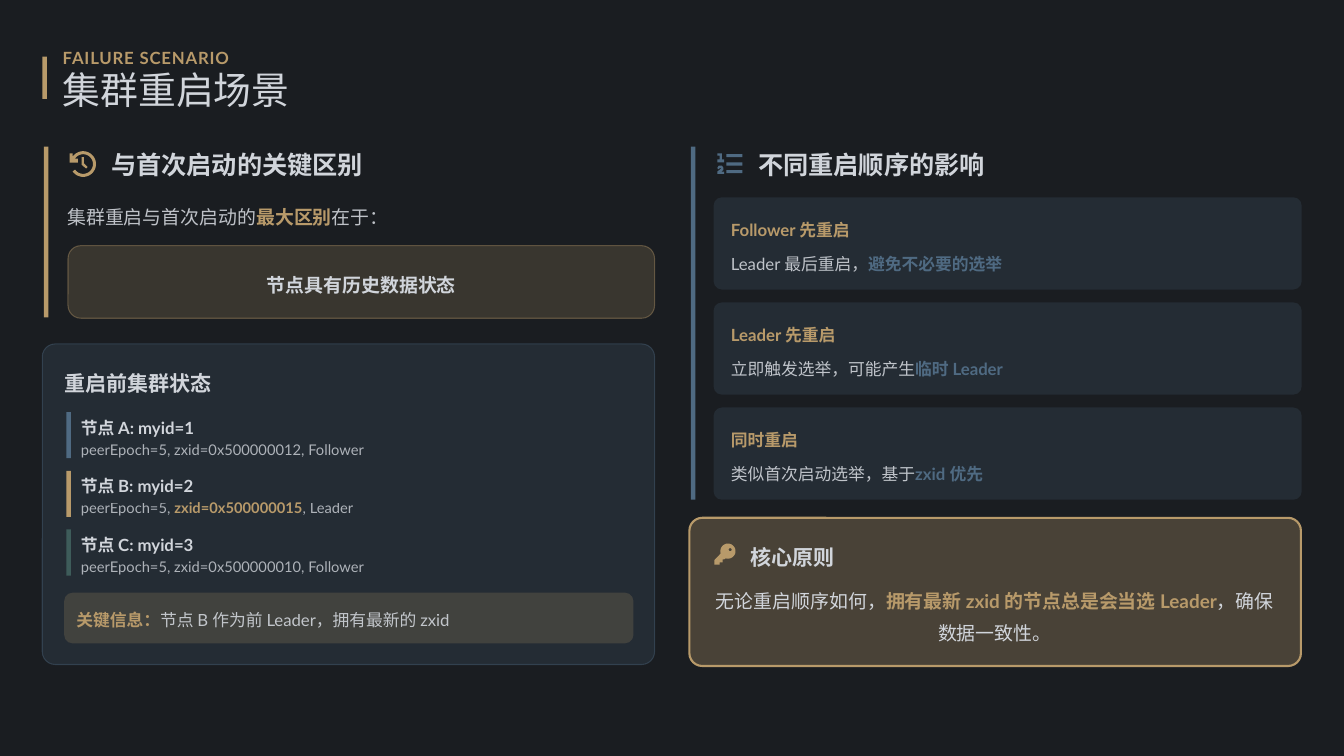
from dataclasses import dataclass
from math import cos, radians, sin

from lxml.etree import SubElement
from pptx import Presentation
from pptx.dml.color import RGBColor
from pptx.enum.shapes import MSO_SHAPE as Preset
from pptx.enum.text import MSO_ANCHOR as Anchor, PP_ALIGN as Align
from pptx.oxml.ns import qn
from pptx.util import Inches, Pt

COLORS = {
    "night": "1A1D21",
    "gold": "B89A6A",
    "light": "D1D5DB",
    "blue": "4F6A82",
    "green": "3E5C5A",
}
LATIN, CJK = "Lato", "Noto Sans CJK SC"
Point = tuple[float, float]


@dataclass(frozen=True)
class Span:
    text: str
    color: str = "light"
    bold: bool = False
    alpha: int = 100


@dataclass(frozen=True)
class Panel:
    left: float
    top: float
    width: float
    height: float
    color: str
    alpha: int
    radius: float = 0.17
    line: float = 0
    line_alpha: int = 100


@dataclass(frozen=True)
class Node:
    name: str
    color: str
    details: list[Span]


@dataclass(frozen=True)
class Card:
    title: str
    spans: list[Span]


def rgb(color: str) -> RGBColor:
    """Return the named palette colour."""
    return RGBColor.from_string(COLORS[color])


def fade(holder, alpha: int) -> None:
    """Make the solid fill inside an element partly transparent."""
    if alpha < 100:
        hue = holder.find(qn("a:solidFill")).find(qn("a:srgbClr"))
        SubElement(hue, qn("a:alpha")).set("val", str(alpha * 1000))


def paint(shape, color: str, alpha: int = 100) -> None:
    """Give a shape a flat fill without line or shadow."""
    shape.shadow.inherit = False
    shape.fill.solid()
    shape.fill.fore_color.rgb = rgb(color)
    shape.line.fill.background()
    fade(shape._element.spPr, alpha)


def add_bar(page, left: float, top: float, height: float, color: str) -> None:
    """Draw a thin vertical accent bar."""
    bar = page.shapes.add_shape(
        Preset.RECTANGLE, Inches(left), Inches(top), Inches(0.06), Inches(height))
    paint(bar, color)


def add_panel(page, panel: Panel) -> None:
    """Draw a rounded translucent panel."""
    shape = page.shapes.add_shape(
        Preset.ROUNDED_RECTANGLE, Inches(panel.left), Inches(panel.top),
        Inches(panel.width), Inches(panel.height))
    shape.adjustments[0] = panel.radius / panel.height
    paint(shape, panel.color, panel.alpha)
    if panel.line:
        shape.line.color.rgb = rgb(panel.color)
        shape.line.width = Pt(panel.line)
        fade(shape._element.spPr.find(qn("a:ln")), panel.line_alpha)


def add_text(page, left: float, top: float, width: float, height: float,
             size: int, spacing: float, spans: list[Span], font: str = LATIN,
             align: Align = Align.LEFT, tracking: int = 0) -> None:
    """Write one paragraph in a box without insets."""
    box = page.shapes.add_textbox(
        Inches(left), Inches(top), Inches(width), Inches(height))
    frame = box.text_frame
    frame.word_wrap = True
    frame.vertical_anchor = Anchor.MIDDLE
    frame.margin_left = frame.margin_right = 0
    frame.margin_top = frame.margin_bottom = 0
    para = frame.paragraphs[0]
    para.alignment = align
    para.line_spacing = spacing
    for span in spans:
        run = para.add_run()
        run.text = span.text
        run.font.size = Pt(size)
        run.font.bold = span.bold
        run.font.name = font
        run.font.color.rgb = rgb(span.color)
        props = run._r.rPr
        SubElement(props, qn("a:ea")).set("typeface", CJK)
        fade(props, span.alpha)
        if tracking:
            props.set("spc", str(tracking))


def arc(center: Point, radius: float, start: int, end: int) -> list[Point]:
    """Return points along an arc, with angles in degrees."""
    steps = 36
    angles = [radians(start + (end - start) * i / steps) for i in range(steps + 1)]
    return [(center[0] + radius * cos(a), center[1] + radius * sin(a)) for a in angles]


def add_icon(page, contours: list[list[Point]], color: str) -> None:
    """Draw an icon from closed contours."""
    outlines = [[(Inches(x), Inches(y)) for x, y in line] for line in contours]
    builder = page.shapes.build_freeform(*outlines[0][0])
    builder.add_line_segments(outlines[0][1:], close=True)
    for outline in outlines[1:]:
        builder.move_to(*outline[0])
        builder.add_line_segments(outline[1:], close=True)
    paint(builder.convert_to_shape(), color)


def history_icon() -> list[list[Point]]:
    """Return a clock with a backward arrow."""
    center = (1.1, 2.17)
    arrow = [(0.96, 2.03), (0.92, 2.03), (0.92, 2.15), (1.03, 2.15), (1.03, 2.1), (0.99, 2.1)]
    hand = [(1.08, 2.08), (1.11, 2.08), (1.11, 2.16), (1.16, 2.21), (1.14, 2.23), (1.08, 2.18)]
    return [arc(center, 0.17, 145, -145) + arrow + arc(center, 0.13, -145, 145), hand]


def list_icon() -> list[list[Point]]:
    """Return a numbered list."""
    one = [(9.49, 2.03), (9.55, 2.03), (9.55, 2.11), (9.58, 2.11), (9.58, 2.15),
           (9.49, 2.15), (9.49, 2.11), (9.52, 2.11), (9.52, 2.06), (9.49, 2.06)]
    two = [(9.49, 2.22), (9.51, 2.19), (9.55, 2.19), (9.57, 2.22), (9.57, 2.25), (9.54, 2.27),
           (9.58, 2.27), (9.58, 2.3), (9.49, 2.3), (9.49, 2.27), (9.54, 2.23), (9.53, 2.22),
           (9.5, 2.24)]
    rows = [[(9.61, y), (9.82, y), (9.82, y + 0.04), (9.61, y + 0.04)]
            for y in (2.04, 2.15, 2.25)]
    return [one, two, *rows]


def key_icon() -> list[list[Point]]:
    """Return a key with a hole in its head."""
    stem = [(9.45, 7.41), (9.45, 7.47), (9.52, 7.47), (9.52, 7.44),
            (9.56, 7.44), (9.56, 7.4), (9.58, 7.4)]
    return [arc((9.63, 7.29), 0.1, 108, -198) + stem, arc((9.66, 7.27), 0.02, 0, 350)]


NODES = [
    Node("节点 A: myid=1", "blue",
         [Span("peerEpoch=5, zxid=0x500000012, Follower", alpha=80)]),
    Node("节点 B: myid=2", "gold",
         [Span("peerEpoch=5, ", alpha=80), Span("zxid=0x500000015", "gold", True),
          Span(", Leader", alpha=80)]),
    Node("节点 C: myid=3", "green",
         [Span("peerEpoch=5, zxid=0x500000010, Follower", alpha=80)]),
]
CARDS = [
    Card("Follower 先重启",
         [Span("Leader 最后重启，", alpha=90), Span("避免不必要的选举", "blue", True)]),
    Card("Leader 先重启",
         [Span("立即触发选举，可能产生", alpha=90), Span("临时 Leader", "blue", True)]),
    Card("同时重启",
         [Span("类似首次启动选举，基于", alpha=90), Span("zxid 优先", "blue", True)]),
]


def draw_left(page) -> None:
    """Draw the key difference and the cluster state."""
    add_bar(page, 0.58, 1.94, 2.26, "gold")
    add_icon(page, history_icon(), "gold")
    add_text(page, 1.47, 1.94, 3.5, 0.44, 24, 1.1, [Span("与首次启动的关键区别", bold=True)])
    add_text(page, 0.89, 2.61, 7.9, 0.4, 18, 1.4,
             [Span("集群重启与首次启动的", alpha=90), Span("最大区别", "gold", True),
              Span("在于：", alpha=90)])
    add_panel(page, Panel(0.9, 3.25, 7.76, 0.96, "gold", 20, line=1, line_alpha=40))
    add_text(page, 1.12, 3.53, 7.32, 0.39, 18, 1.3,
             [Span("节点具有历史数据状态", bold=True)], align=Align.CENTER)
    add_panel(page, Panel(0.56, 4.55, 8.1, 4.24, "blue", 20, line=1, line_alpha=40))
    add_text(page, 0.85, 4.84, 7.67, 0.39, 20, 1.2, [Span("重启前集群状态", bold=True)])
    for i, node in enumerate(NODES):
        top = 5.45 + 0.777 * i
        add_bar(page, 0.88, top, 0.61, node.color)
        add_text(page, 1.07, top, 7.42, 0.33, 16, 1.3, [Span(node.name, bold=True)])
        add_text(page, 1.07, top + 0.33, 7.4, 0.28, 14, 1.2, node.details)
    add_panel(page, Panel(0.85, 7.84, 7.53, 0.67, "gold", 20, 0.11))
    add_text(page, 1.01, 8, 7.31, 0.33, 16, 1.3,
             [Span("关键信息：", "gold", True),
              Span("节点 B 作为前 Leader，拥有最新的 zxid", alpha=90)])


def draw_right(page) -> None:
    """Draw the restart orders and the core principle."""
    add_bar(page, 9.14, 1.94, 4.67, "blue")
    add_icon(page, list_icon(), "blue")
    add_text(page, 10.03, 1.94, 3.17, 0.44, 24, 1.1, [Span("不同重启顺序的影响", bold=True)])
    for i, card in enumerate(CARDS):
        top = 2.61 + 1.39 * i
        add_panel(page, Panel(9.44, top, 7.78, 1.22, "blue", 20, 0.11))
        add_text(page, 9.67, top + 0.22, 7.44, 0.33, 16, 1.3, [Span(card.title, "gold", True)])
        add_text(page, 9.67, top + 0.67, 7.44, 0.33, 16, 1.3, card.spans)
    add_panel(page, Panel(9.12, 6.85, 8.09, 1.96, "gold", 30, line=2))
    add_icon(page, key_icon(), "gold")
    add_text(page, 9.93, 7.14, 1.25, 0.39, 20, 1.2, [Span("核心原则", bold=True)])
    add_text(page, 9.35, 7.69, 7.62, 0.82, 18, 1.4,
             [Span("无论重启顺序如何，"),
              Span("拥有最新 zxid 的节点总是会当选 Leader", "gold", True),
              Span("，确保数据一致性。")], align=Align.CENTER)


def main() -> None:
    """Build the slide and save the deck."""
    deck = Presentation()
    deck.slide_width, deck.slide_height = Inches(17.78), Inches(10)
    page = deck.slides.add_slide(deck.slide_layouts[6])
    page.background.fill.solid()
    page.background.fill.fore_color.rgb = rgb("night")
    add_bar(page, 0.56, 0.75, 0.56, "gold")
    add_text(page, 0.83, 0.56, 3.11, 0.33, 16, 1.3,
             [Span("FAILURE SCENARIO", "gold", True)], tracking=80)
    add_text(page, 0.83, 0.94, 3.25, 0.56, 36, 0.9, [Span("集群重启场景")], font=CJK)
    draw_left(page)
    draw_right(page)
    deck.save("out.pptx")


if __name__ == "__main__":
    main()
